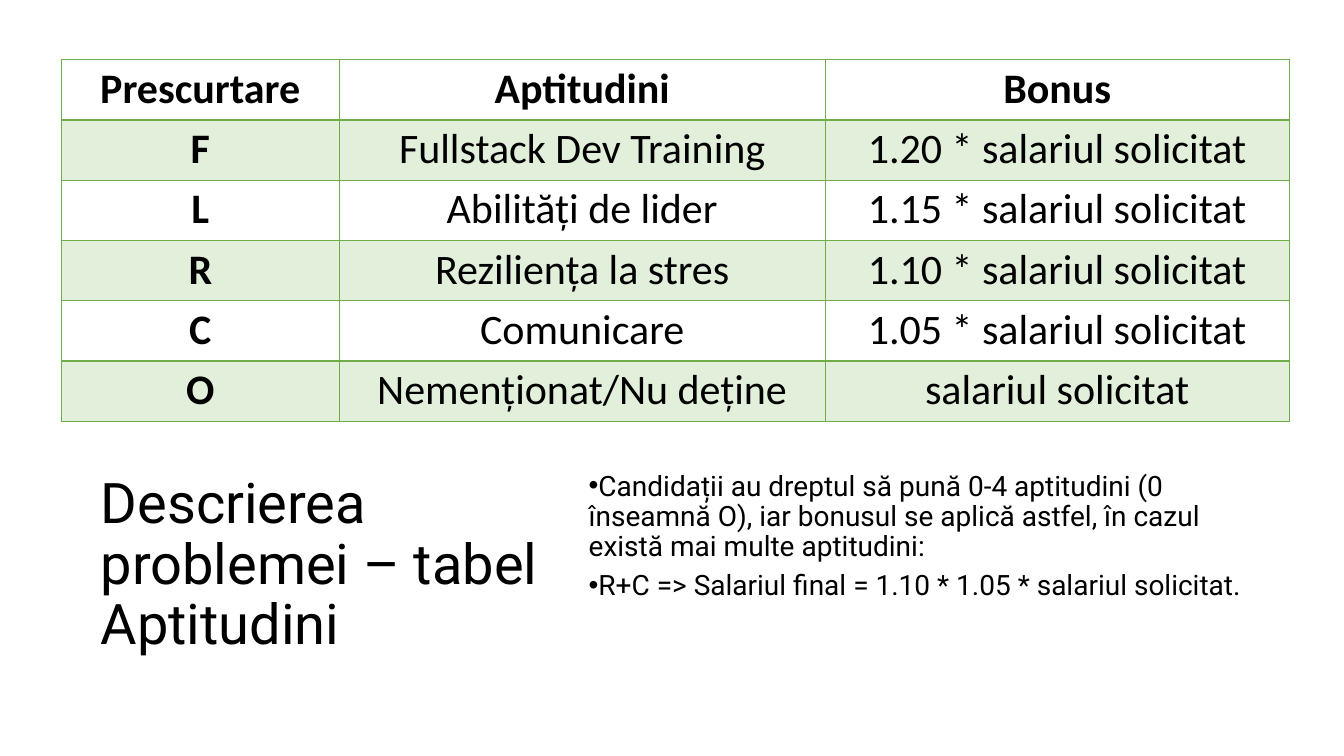
"""Build the slide that lists the skills and their salary bonuses."""
from lxml.etree import SubElement
from pptx import Presentation
from pptx.dml.color import RGBColor
from pptx.enum.text import MSO_ANCHOR, MSO_AUTO_SIZE, PP_ALIGN
from pptx.oxml.ns import qn
from pptx.util import Pt

TITLE = "Descrierea problemei – tabel Aptitudini"
NOTES = [
    "Candidații au dreptul să pună 0-4 aptitudini (0 înseamnă O), iar bonusul "
    "se aplică astfel, în cazul există mai multe aptitudini:",
    "R+C => Salariul final = 1.10 * 1.05 * salariul solicitat.",
]
ROWS = [
    ("Prescurtare", "Aptitudini", "Bonus"),
    ("F", "Fullstack Dev Training", "1.20 * salariul solicitat"),
    ("L", "Abilități de lider", "1.15 * salariul solicitat"),
    ("R", "Reziliența la stres", "1.10 * salariul solicitat"),
    ("C", "Comunicare", "1.05 * salariul solicitat"),
    ("O", "Nemenționat/Nu deține", "salariul solicitat"),
]
COL_WIDTHS = (198.6, 347.1, 331.4)
ROW_HEIGHT = 43.1
TABLE_LEFT, TABLE_TOP = 43.8, 42.5
TEXT_TOP, TEXT_HEIGHT = 333.4, 141.8

BLACK = RGBColor(0, 0, 0)
GREEN = RGBColor(0x70, 0xAD, 0x47)
PALE_GREEN = RGBColor(0xE2, 0xEF, 0xDA)


def format_text(p, font, size, bold=False, align=PP_ALIGN.LEFT, spacing=0.9, after=0):
    p.alignment = align
    p.line_spacing = spacing
    p.space_before = Pt(0)
    p.space_after = Pt(after)
    for r in p.runs:
        r.font.name = font
        r.font.size = Pt(size)
        r.font.bold = bold
        r.font.color.rgb = BLACK


def place(sp, left, width, anchor):
    sp.left, sp.top = Pt(left), Pt(TEXT_TOP)
    sp.width, sp.height = Pt(width), Pt(TEXT_HEIGHT)
    tf = sp.text_frame
    tf.word_wrap = True
    tf.auto_size = MSO_AUTO_SIZE.NONE
    tf.vertical_anchor = anchor
    return tf


def set_borders(cell, widths):
    tc_pr = cell._tc.get_or_add_tcPr()
    for i, (side, width) in enumerate(widths.items()):
        ln = tc_pr.makeelement(qn(f"a:ln{side}"), {"w": str(Pt(width))})
        fill = SubElement(ln, qn("a:solidFill"))
        SubElement(fill, qn("a:srgbClr"), val=str(GREEN))
        tc_pr.insert(i, ln)


def add_skills_table(s):
    shape = s.shapes.add_table(
        len(ROWS), len(COL_WIDTHS), Pt(TABLE_LEFT), Pt(TABLE_TOP),
        Pt(sum(COL_WIDTHS)), Pt(ROW_HEIGHT * len(ROWS)))
    table = shape.table
    table.first_row = table.horz_banding = False
    for column, width in zip(table.columns, COL_WIDTHS):
        column.width = Pt(width)
    for i, texts in enumerate(ROWS):
        table.rows[i].height = Pt(ROW_HEIGHT)
        for j, text in enumerate(texts):
            cell = table.cell(i, j)
            cell.margin_left = cell.margin_right = Pt(13)
            cell.margin_top = cell.margin_bottom = Pt(0)
            cell.text = text
            format_text(cell.text_frame.paragraphs[0], "Calibri", 30,
                        bold=i == 0 or j == 0, align=PP_ALIGN.CENTER,
                        spacing=1.07, after=8)
            if i % 2:
                cell.fill.solid()
                cell.fill.fore_color.rgb = PALE_GREEN
            else:
                cell.fill.background()
            set_borders(cell, {"L": 1, "R": 1, "T": 2 if i == 1 else 1,
                               "B": 2 if i == 0 else 1})


def main():
    prs = Presentation()
    prs.slide_width, prs.slide_height = Pt(960), Pt(540)
    s = prs.slides.add_slide(prs.slide_layouts[1])

    tf = place(s.shapes.title, 64.8, 326.9, MSO_ANCHOR.MIDDLE)
    tf.text = TITLE
    format_text(tf.paragraphs[0], "Roboto", 40)

    add_skills_table(s)

    tf = place(s.placeholders[1], 413.3, 491, MSO_ANCHOR.TOP)
    tf.text = "\n".join(NOTES)
    for p in tf.paragraphs:
        format_text(p, "Roboto", 20, after=6)
        p_pr = p._p.get_or_add_pPr()
        p_pr.set("marL", "0")
        p_pr.set("indent", str(-Pt(18)))
        SubElement(p_pr, qn("a:buChar"), char="•")

    prs.save("out.pptx")


if __name__ == "__main__":
    main()
